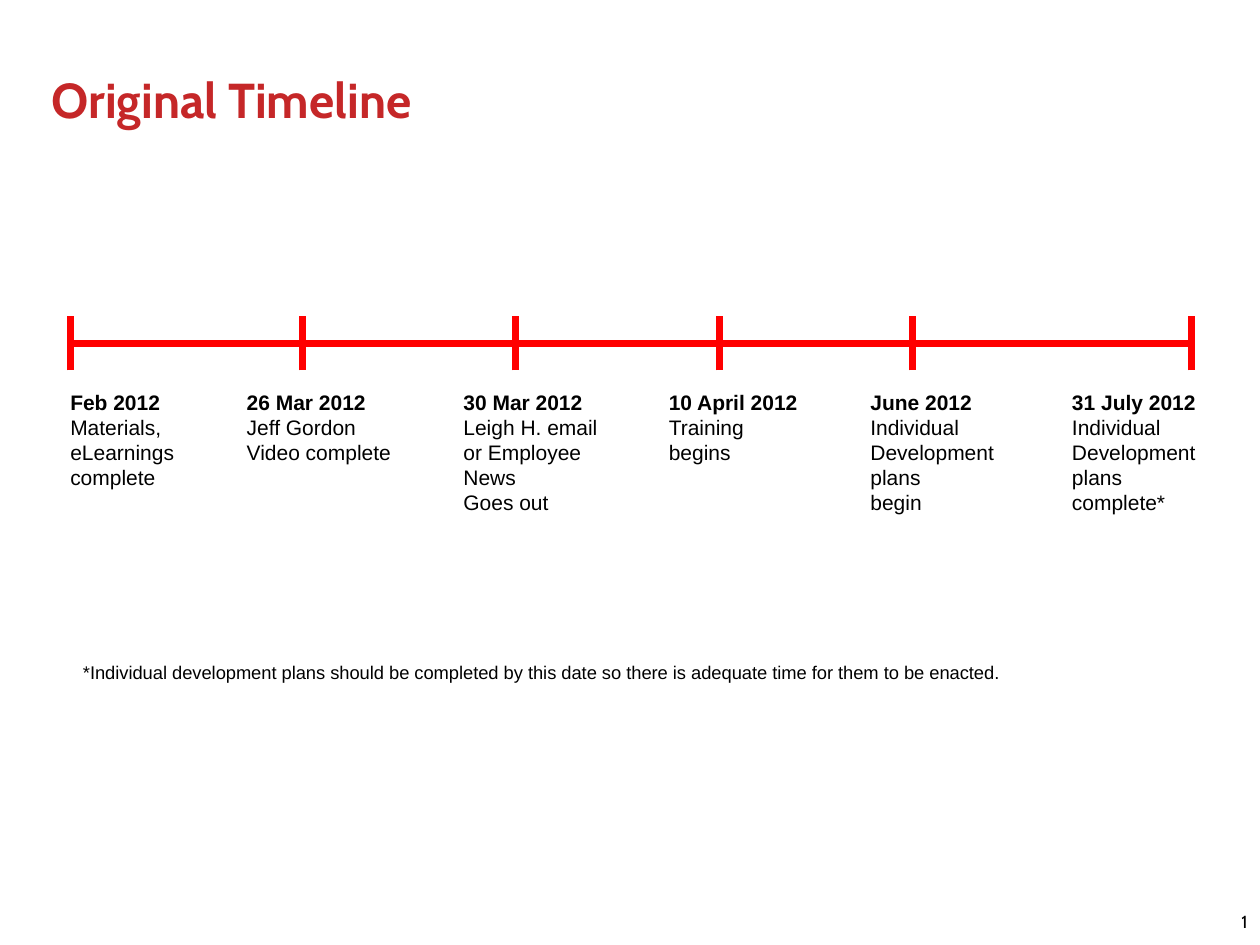
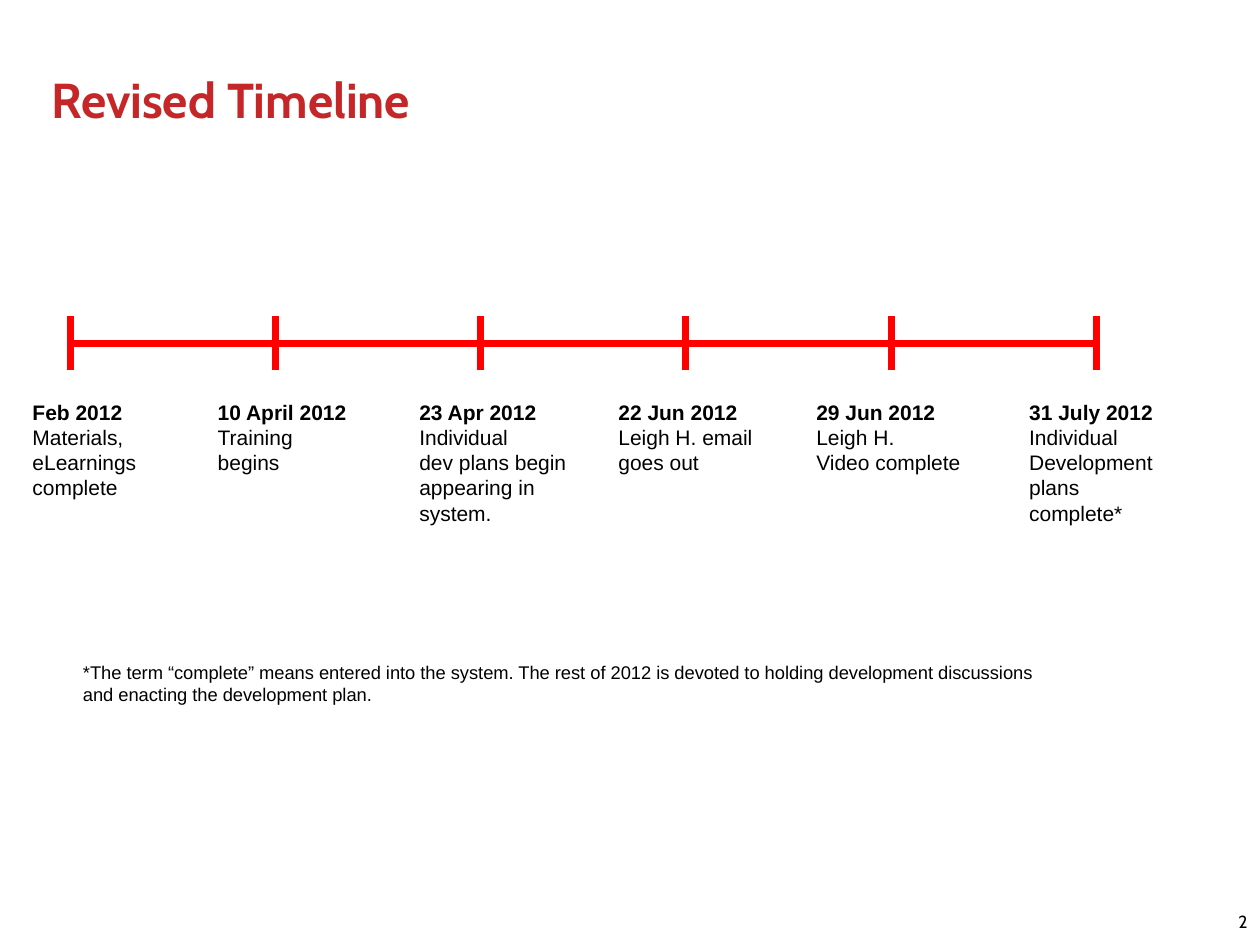
from dataclasses import dataclass

from lxml import etree
from pptx import Presentation
from pptx import util as u
from pptx.dml.color import RGBColor
from pptx.enum import shapes, text
from pptx.oxml.ns import qn


@dataclass(frozen=True)
class Theme:
    title_color: RGBColor = RGBColor(0xC5, 0x27, 0x28)
    line_color: RGBColor = RGBColor(0xFF, 0, 0)
    text_color: RGBColor = RGBColor(0, 0, 0)
    heading_font: str = "Cabin"
    body_font: str = "Arial"
    title_size: float = 28
    label_size: float = 12
    note_size: float = 10.5
    number_size: float = 10
    line_width: float = 4


THEME = Theme()
AXIS_LEFT = 0.56
AXIS_TOP = 2.73
TICK_TOP, TICK_BOTTOM = 2.51, 2.94
LINE_HEIGHT = 0.2

MATERIALS = ("Feb 2012", "Materials,\neLearnings", "complete")
TRAINING = ("10 April 2012", "Training\nbegins")
PLANS_COMPLETE = ("31 July 2012", "Individual\nDevelopment\nplans\ncomplete*")

ORIGINAL_TICKS = [AXIS_LEFT, 2.4, 4.09, 5.71, 7.24, 9.46]
ORIGINAL_LABELS = [
    (0.46, 1.03, MATERIALS),
    (1.86, 1.35, ("26 Mar 2012", "Jeff Gordon", "Video complete")),
    (3.58, 1.27, ("30 Mar 2012", "Leigh H. email", "or Employee\nNews", "Goes out")),
    (5.21, 1.23, TRAINING),
    (6.81, 1.24, ("June 2012", "Individual\nDevelopment\nplans\nbegin")),
    (8.41, 1.24, PLANS_COMPLETE),
]
ORIGINAL_NOTE = ("*Individual development plans should be completed by this date "
                 "so there is adequate time for them to be enacted.")

REVISED_STEP = (8.7 - AXIS_LEFT) / 5
REVISED_TICKS = [AXIS_LEFT + index * REVISED_STEP for index in range(6)]
REVISED_LABELS = [
    (0.16, 1.03, MATERIALS),
    (1.63, 1.23, TRAINING),
    (3.23, 1.47, ("23 Apr 2012", "Individual\ndev plans begin\nappearing in\nsystem.")),
    (4.81, 1.27, ("22 Jun 2012", "Leigh H. email", "goes out")),
    (6.38, 1.35, ("29 Jun 2012", "Leigh H.", "Video complete")),
    (8.07, 1.24, PLANS_COMPLETE),
]
REVISED_NOTE = ("*The term \u201ccomplete\u201d means entered into the system. "
                "The rest of 2012 is devoted to holding development discussions\n"
                "and enacting the development plan.")


def style(paragraph, font, size, color, bold=False):
    paragraph.font.name = font
    paragraph.font.size = u.Pt(size)
    paragraph.font.color.rgb = color
    paragraph.font.bold = bold


def add_title(slide, title):
    shape = slide.shapes.title
    shape.left, shape.top = u.Inches(0.31), u.Inches(0.25)
    shape.width, shape.height = u.Inches(7.21), u.Inches(1.14)
    frame = shape.text_frame
    frame.text = title
    frame.vertical_anchor = text.MSO_ANCHOR.MIDDLE
    paragraph = frame.paragraphs[0]
    paragraph.alignment = text.PP_ALIGN.LEFT
    paragraph.line_spacing = 0.85
    style(paragraph, THEME.heading_font, THEME.title_size, THEME.title_color, True)


def add_slide_number(slide, number):
    box = slide.shapes.add_textbox(u.Inches(7.67), u.Inches(7.18), u.Inches(2.33), u.Inches(0.31))
    box.text_frame.word_wrap = True
    paragraph = box.text_frame.paragraphs[0]
    paragraph.alignment = text.PP_ALIGN.RIGHT
    run = paragraph.add_run()
    run.text = str(number)
    style(run, THEME.heading_font, THEME.number_size, THEME.text_color)
    field = run._r
    field.tag = qn("a:fld")
    field.set("id", "{B6F15528-21DE-4FAA-801E-634DDDAF4B2B}")
    field.set("type", "slidenum")


def add_text(slide, left, top, width, height, lines, size, bold_first=False):
    box = slide.shapes.add_textbox(u.Inches(left), u.Inches(top), u.Inches(width), u.Inches(height))
    frame = box.text_frame
    frame.word_wrap = False
    frame.auto_size = text.MSO_AUTO_SIZE.SHAPE_TO_FIT_TEXT
    for index, line in enumerate(lines):
        paragraph = frame.add_paragraph() if index else frame.paragraphs[0]
        paragraph.text = line.replace("\n", "\v")
        style(paragraph, THEME.body_font, size, THEME.text_color, bold_first and index == 0)


def add_line(slide, x1, y1, x2, y2):
    line = slide.shapes.add_connector(
        shapes.MSO_CONNECTOR.STRAIGHT, u.Inches(x1), u.Inches(y1), u.Inches(x2), u.Inches(y2))
    line.line.color.rgb = THEME.line_color
    line.line.width = u.Pt(THEME.line_width)
    etree.SubElement(line._element.spPr, qn("a:effectLst"))


def add_timeline(slide, ticks, labels, label_top):
    add_line(slide, ticks[0], AXIS_TOP, ticks[-1], AXIS_TOP)
    for tick in ticks:
        add_line(slide, tick, TICK_BOTTOM, tick, TICK_TOP)
    for left, width, lines in labels:
        line_count = sum(line.count("\n") + 1 for line in lines)
        height = 0.1 + line_count * LINE_HEIGHT
        add_text(slide, left, label_top, width, height, lines, THEME.label_size, True)


def add_timeline_slide(presentation, title, ticks, labels, label_top, note, note_width, note_height):
    slide = presentation.slides.add_slide(presentation.slide_layouts[5])
    add_title(slide, title)
    add_slide_number(slide, len(presentation.slides))
    add_timeline(slide, ticks, labels, label_top)
    add_text(slide, 0.56, 5.2, note_width, note_height, [note], THEME.note_size)


def main():
    presentation = Presentation()
    presentation.slide_width = u.Inches(10)
    presentation.slide_height = u.Inches(7.5)
    add_timeline_slide(presentation, "Original Timeline", ORIGINAL_TICKS, ORIGINAL_LABELS, 3.04,
                       ORIGINAL_NOTE, 7.62, 0.28)
    add_timeline_slide(presentation, "Revised Timeline", REVISED_TICKS, REVISED_LABELS, 3.12,
                       REVISED_NOTE, 7.88, 0.45)
    presentation.save("out.pptx")


main()
